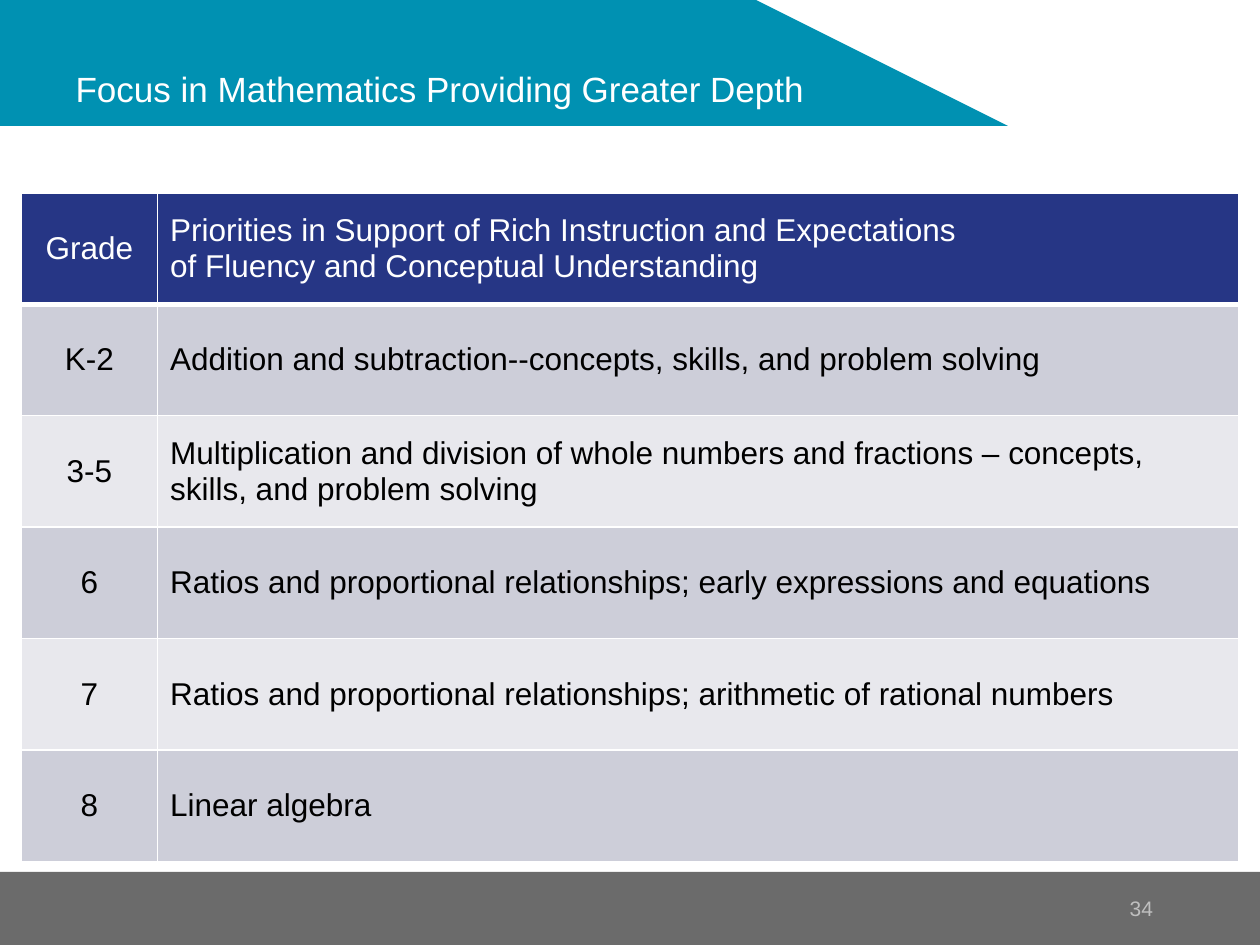
"""Build the slide on the focus of mathematics by grade."""
from lxml import etree
from pptx import Presentation
from pptx.dml.color import RGBColor
from pptx.enum.shapes import MSO_SHAPE
from pptx.enum.text import MSO_ANCHOR, MSO_AUTO_SIZE, PP_ALIGN
from pptx.oxml.ns import qn
from pptx.util import Inches, Pt

RECT = MSO_SHAPE.RECTANGLE
MIDDLE = MSO_ANCHOR.MIDDLE
FIXED = MSO_AUTO_SIZE.NONE
LEFT, CENTER, RIGHT = PP_ALIGN.LEFT, PP_ALIGN.CENTER, PP_ALIGN.RIGHT

COLORS = {
    "white": "FFFFFF", "black": "000000", "teal": "0091B2", "navy": "263685",
    "dark": "CDCED9", "light": "E8E8ED", "gray": "6B6B6B", "pale": "BFBFBF",
}
FONT = "Arial"
WIDTHS = (1.08, 8.58)
HEIGHT = 5.31
ROWS = (
    ("Grade", ("Priorities in Support of Rich Instruction and Expectations",
               "of Fluency and Conceptual Understanding")),
    ("K-2", ("Addition and subtraction--concepts, skills, and problem solving",)),
    ("3-5", ("Multiplication and division of whole numbers and fractions – "
             "concepts, skills, and problem solving",)),
    ("6", ("Ratios and proportional relationships; "
           "early expressions and equations",)),
    ("7", ("Ratios and proportional relationships; "
           "arithmetic of rational numbers",)),
    ("8", ("Linear algebra",)),
)


def color(name):
    return RGBColor.from_string(COLORS[name])


def paint(shape, name):
    shape.shadow.inherit = False
    shape.fill.solid()
    shape.fill.fore_color.rgb = color(name)
    shape.line.fill.background()


def place(shape, *box):
    shape.left, shape.top, shape.width, shape.height = map(Inches, box)


def write(frame, lines, size, tone, align=LEFT):
    for i, line in enumerate(lines):
        para = frame.add_paragraph() if i else frame.paragraphs[0]
        para.alignment = align
        run = para.add_run()
        run.text = line
        font = run.font
        font.name, font.size, font.bold = FONT, Pt(size), False
        font.color.rgb = color(tone)


def add_bands(slide):
    bar = slide.shapes.add_shape(
        RECT, Inches(0), Inches(6.92), Inches(10), Inches(0.58))
    paint(bar, "gray")
    pen = slide.shapes.build_freeform(0, 0, scale=Inches(1))
    pen.add_line_segments([(5.58, 0), (7.92, 1.41), (0, 1.41)], close=True)
    paint(pen.convert_to_shape(), "teal")


def add_title(slide, text):
    title = slide.shapes.title
    slide.shapes._spTree.append(title._element)
    place(title, 0, 0, 6.67, 1.41)
    frame = title.text_frame
    frame.auto_size, frame.vertical_anchor = FIXED, MIDDLE
    write(frame, [text], 20, "white")
    props = frame.paragraphs[0]._p.get_or_add_pPr()
    props.set("marL", str(Inches(0.5)))


def add_number(slide, text):
    box = slide.shapes.add_textbox(
        Inches(7.58), Inches(6.92), Inches(1.67), Inches(0.58))
    frame = box.text_frame
    frame.word_wrap, frame.vertical_anchor = True, MIDDLE
    write(frame, [text], 12, "pale", RIGHT)


def add_edges(cell, top, base):
    props = cell._tc.get_or_add_tcPr()
    for side, width in (("L", 1), ("R", 1), ("T", top), ("B", base)):
        edge = etree.SubElement(props, qn(f"a:ln{side}"), w=str(Pt(width)))
        fill = etree.SubElement(edge, qn("a:solidFill"))
        etree.SubElement(fill, qn("a:srgbClr"), val=COLORS["white"])


def add_grid(slide):
    table = slide.shapes.add_table(
        len(ROWS), len(WIDTHS), Inches(0.17), Inches(1.53),
        Inches(sum(WIDTHS)), Inches(HEIGHT)).table
    for column, width in zip(table.columns, WIDTHS):
        column.width = Inches(width)
    for r, (grade, lines) in enumerate(ROWS):
        fill = ("dark" if r % 2 else "light") if r else "navy"
        tone = "black" if r else "white"
        cells = table.rows[r].cells
        for cell in cells:
            add_edges(cell, 3 if r == 1 else 1, 1 if r else 3)
            cell.fill.solid()
            cell.fill.fore_color.rgb = color(fill)
            cell.vertical_anchor = MIDDLE
        write(cells[0].text_frame, [grade], 18, tone, CENTER)
        write(cells[1].text_frame, lines, 18, tone)


def main():
    deck = Presentation()
    deck.slide_width, deck.slide_height = Inches(10), Inches(7.5)
    slide = deck.slides.add_slide(deck.slide_layouts.get_by_name("Title Only"))
    add_bands(slide)
    add_title(slide, "Focus in Mathematics Providing Greater Depth")
    add_number(slide, "34")
    add_grid(slide)
    deck.save("out.pptx")


if __name__ == "__main__":
    main()
